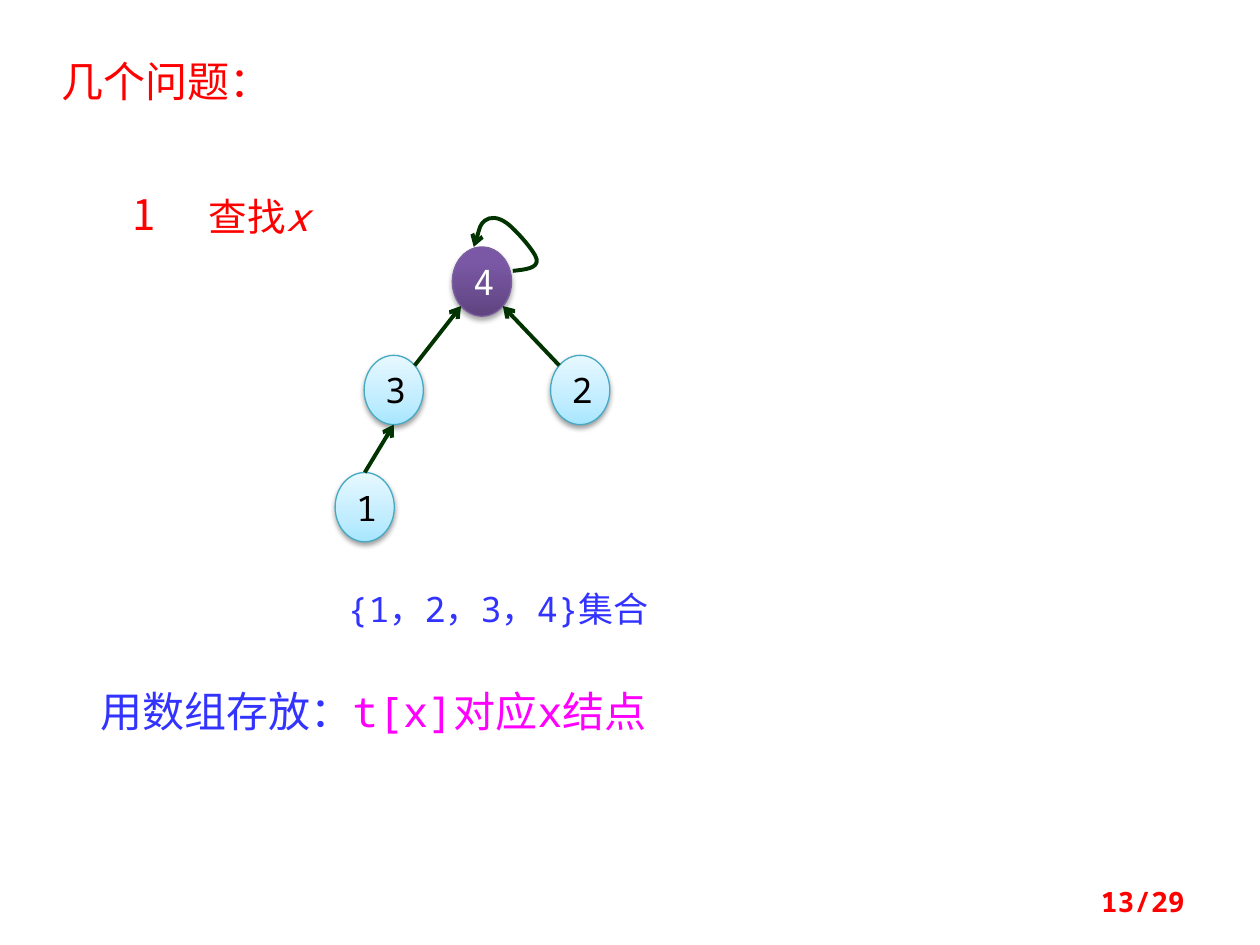
from dataclasses import dataclass
from math import sqrt

from pptx import Presentation
from pptx.dml.color import RGBColor
from pptx.enum import shapes as kinds, text as t
from pptx.oxml import parse_xml
from pptx.oxml.ns import nsdecls, qn
from pptx.util import Inches, Pt


@dataclass(frozen=True)
class Theme:
    sans: str = "Noto Sans CJK SC"
    mono: str = "Noto Sans Mono"
    red: str = "FF0000"
    blue: str = "3333FF"
    magenta: str = "FF00FF"
    edge: str = "003300"
    white: str = "FFFFFF"
    black: str = "000000"
    heading: int = 24
    item: int = 22
    node: int = 20
    page: int = 16
    edge_width: float = 2.25


@dataclass(frozen=True)
class NodeStyle:
    stops: tuple
    line: str
    label: str
    shadow_alpha: int
    shadow_distance: float


THEME = Theme()
ROOT = NodeStyle(((0, "5F4480"), (80, "7B58A6"), (100, "7C57A8")),
                 "7D60A0", THEME.white, 35, 1.8)
CHILD = NodeStyle(((0, "A7E6FF"), (35, "C1EDFF"), (100, "E7F8FF")),
                  "46AAC5", THEME.black, 38, 1.6)
NODE_W, NODE_H = 0.47, 0.55
# Value: left and top within the tree, parent
NODES = {4: (0.93, 0.24, None), 3: (0.23, 1.10, 4),
         2: (1.71, 1.10, 4), 1: (0, 2.03, 3)}
# Directions from a node's centre: where its edge leaves and enters the parent
EDGES = {3: ((1, -1), (-1, 1)), 2: ((-1, -1), (1, 1)), 1: ((0, -1), (0, 1))}
# Bezier start, then three points for each curve, within the tree
SELF_LOOP = [(1.41, 0.43), (1.51, 0.42), (1.61, 0.41), (1.60, 0.34),
             (1.59, 0.28), (1.43, 0.10), (1.36, 0.05), (1.29, 0),
             (1.23, 0), (1.19, 0.03), (1.15, 0.06), (1.13, 0.15), (1.10, 0.24)]


def add_run(paragraph, words, size, color, font=THEME.mono, italic=None, bold=None):
    run = paragraph.add_run()
    run.text = words
    run.font.size = Pt(size)
    run.font.name = font
    run.font.color.rgb = RGBColor.from_string(color)
    run.font.italic, run.font.bold = italic, bold
    latin = run.font._element.find(qn("a:latin"))
    latin.addnext(parse_xml(f'<a:ea {nsdecls("a")} typeface="{THEME.sans}"/>'))


def add_label(slide, box, align=t.PP_ALIGN.LEFT, anchor=t.MSO_ANCHOR.TOP):
    frame = slide.shapes.add_textbox(*map(Inches, box)).text_frame
    frame.word_wrap = True
    frame.vertical_anchor = anchor
    frame.paragraphs[0].alignment = align
    return frame.paragraphs[0]


def add_title(slide, box):
    title = slide.shapes.title
    title.left, title.top, title.width, title.height = map(Inches, box)
    frame = title.text_frame
    frame.vertical_anchor = t.MSO_ANCHOR.TOP
    frame.auto_size = t.MSO_AUTO_SIZE.NONE
    paragraph = frame.paragraphs[0]
    paragraph.alignment = t.PP_ALIGN.LEFT
    add_run(paragraph, "几个问题：", THEME.heading, THEME.red, THEME.sans)


def add_question(slide, box):
    left, top, width, height = box
    number = add_label(slide, (left, top, 0.42, height), t.PP_ALIGN.CENTER)
    add_run(number, "1", THEME.heading, THEME.red, THEME.sans)
    question = add_label(slide, (left + 0.63, top + 0.03, width - 0.63, 0.47))
    add_run(question, "查找", THEME.item, THEME.red)
    add_run(question, "x", THEME.item, THEME.red, italic=True)


def add_node(slide, value, left, top, style):
    node = slide.shapes.add_shape(kinds.MSO_SHAPE.OVAL, Inches(left), Inches(top),
                                  Inches(NODE_W), Inches(NODE_H))
    node.line.color.rgb = RGBColor.from_string(style.line)
    node.line.width = Pt(0.75)
    stops = "".join(f'<a:gs pos="{pos * 1000}"><a:srgbClr val="{color}"/></a:gs>'
                    for pos, color in style.stops)
    properties = node._element.spPr
    properties.find(qn("a:prstGeom")).addnext(parse_xml(
        f'<a:gradFill {nsdecls("a")}><a:gsLst>{stops}</a:gsLst>'
        '<a:lin ang="16200000" scaled="0"/></a:gradFill>'))
    properties.append(parse_xml(
        f'<a:effectLst {nsdecls("a")}><a:outerShdw blurRad="{Pt(3.1)}" '
        f'dist="{Pt(style.shadow_distance)}" dir="5400000" rotWithShape="0">'
        f'<a:srgbClr val="{THEME.black}"><a:alpha val="{style.shadow_alpha * 1000}"/>'
        '</a:srgbClr></a:outerShdw></a:effectLst>'))
    frame = node.text_frame
    frame.vertical_anchor = t.MSO_ANCHOR.MIDDLE
    frame.paragraphs[0].alignment = t.PP_ALIGN.CENTER
    add_run(frame.paragraphs[0], str(value), THEME.node, style.label)


def style_edge(edge):
    edge.line.color.rgb = RGBColor.from_string(THEME.edge)
    edge.line.width = Pt(THEME.edge_width)
    edge.line._get_or_add_ln().append(
        parse_xml(f'<a:tailEnd {nsdecls("a")} type="arrow"/>'))
    edge._element.spPr.append(parse_xml(f'<a:effectLst {nsdecls("a")}/>'))


def rim_point(left, top, direction):
    """Point on a node's outline in the given direction from its centre."""
    dx, dy = direction
    reach = sqrt(dx * dx + dy * dy)
    return (Inches(left + NODE_W / 2 * (1 + dx / reach)),
            Inches(top + NODE_H / 2 * (1 + dy / reach)))


def add_self_loop(slide, left, top):
    points = [(Inches(left + x), Inches(top + y)) for x, y in SELF_LOOP]
    builder = slide.shapes.build_freeform(*points[0])
    builder.add_line_segments(points[1:], close=False)
    loop = builder.convert_to_shape()
    loop.fill.background()
    outline = next(loop._element.iter(qn("a:path")))
    segments = outline.findall(qn("a:lnTo"))
    for first in range(0, len(segments), 3):
        curve = parse_xml(f'<a:cubicBezTo {nsdecls("a")}/>')
        outline.append(curve)
        for segment in segments[first:first + 3]:
            curve.append(segment[0])
            outline.remove(segment)
    style_edge(loop)


def add_tree(slide, box):
    left, top, width, height = box
    corners = {value: (left + x, top + y) for value, (x, y, _) in NODES.items()}
    for value, corner in corners.items():
        add_node(slide, value, *corner, CHILD if NODES[value][2] else ROOT)
    caption = add_label(slide, (left, top + height - 0.44, width, 0.44))
    add_run(caption, "{1，2，3，4}集合", THEME.node, THEME.blue)
    for value, (leave, enter) in EDGES.items():
        start = rim_point(*corners[value], leave)
        end = rim_point(*corners[NODES[value][2]], enter)
        style_edge(slide.shapes.add_connector(
            kinds.MSO_CONNECTOR.STRAIGHT, *start, *end))
    add_self_loop(slide, left, top)


def add_storage_note(slide, box):
    note = add_label(slide, box)
    add_run(note, "用数组存放：", THEME.heading, THEME.blue)
    add_run(note, "t[x]对应x结点", THEME.heading, THEME.magenta)


def add_page_number(slide, box):
    page = add_label(slide, box, t.PP_ALIGN.RIGHT, t.MSO_ANCHOR.MIDDLE)
    add_run(page, "13/29", THEME.page, THEME.red, bold=True)


def main():
    deck = Presentation()
    deck.slide_width, deck.slide_height = Inches(10), Inches(7.5)
    slide = deck.slides.add_slide(deck.slide_layouts[5])
    add_title(slide, (0.39, 0.39, 3.2, 0.5))
    add_question(slide, (0.93, 1.45, 2.27, 0.5))
    add_tree(slide, (2.66, 1.72, 2.73, 3.33))
    add_storage_note(slide, (0.7, 5.39, 5.08, 0.5))
    add_page_number(slide, (7.17, 6.95, 2.33, 0.4))
    deck.save("out.pptx")


if __name__ == "__main__":
    main()
